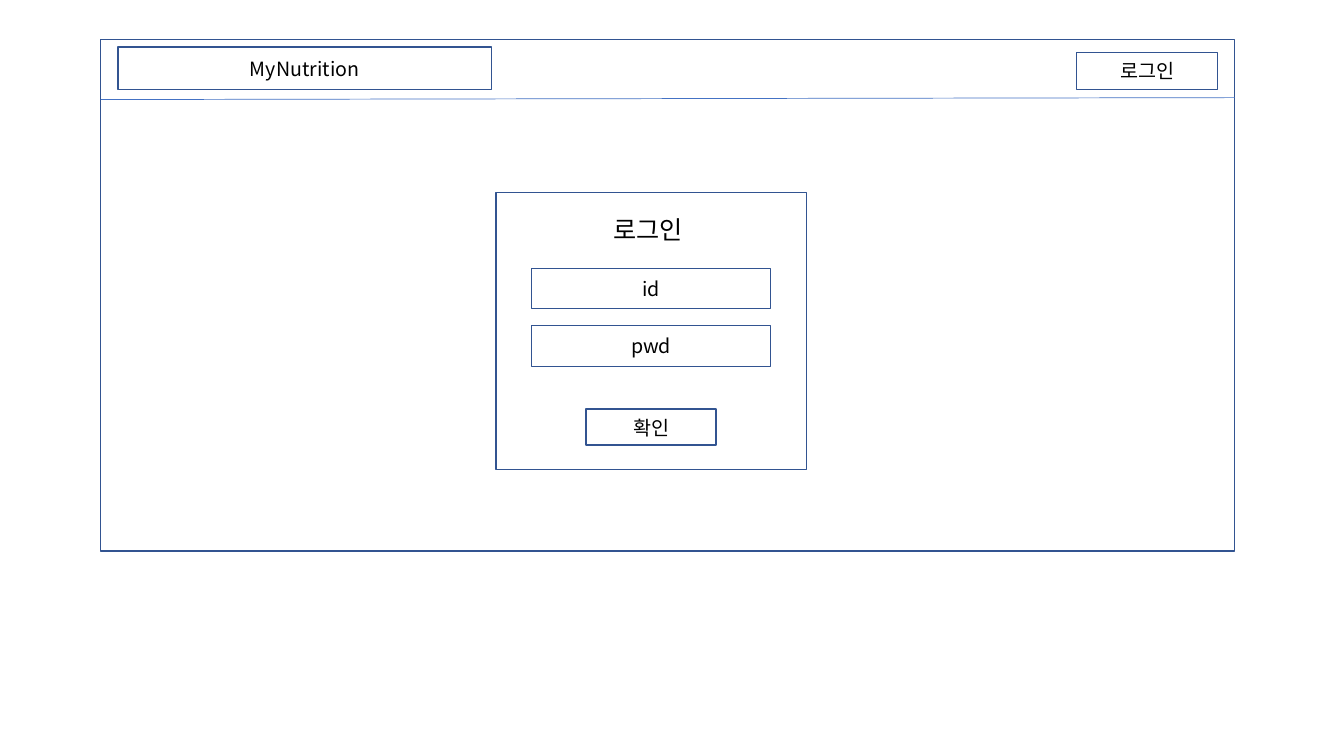
import pptx
import pptx.dml.color
import pptx.enum.shapes
import pptx.enum.text
import pptx.oxml.ns
import pptx.util
from lxml import etree
from pptx.util import Cm

# Content
SITE_NAME = "MyNutrition"
LOGIN = "로그인"
FIELDS = ["id", "pwd"]
CONFIRM = "확인"

FONT = "Noto Sans CJK KR"
INK, BORDER, RULE = "000000", "325491", "4472C4"

# Layout in cm: left, top, width, height
PAGE = (2.54, 0.99, 28.58, 12.9)
SITE_BOX = (2.97, 1.19, 9.42, 1.07)
LOGIN_BUTTON = (27.13, 1.32, 3.56, 0.94)
CARD = (12.5, 4.85, 7.82, 6.99)
CARD_TITLE = (15.21, 5.28, 3.3, 1.03)
FIELD_TOP, FIELD_PITCH, FIELD_SIZE = 6.76, 1.45, (6.02, 1.02)
CONFIRM_TOP, CONFIRM_SIZE = 10.31, (3.28, 0.91)
RULE_START_Y, RULE_END_Y = 2.51, 2.46


def color(hex_code):
    return pptx.dml.color.RGBColor.from_string(hex_code)


def write(shape, text, size=14, align=pptx.enum.text.PP_ALIGN.CENTER,
          anchor=pptx.enum.text.MSO_ANCHOR.MIDDLE):
    frame = shape.text_frame
    frame.word_wrap = True
    frame.vertical_anchor = anchor
    paragraph = frame.paragraphs[0]
    paragraph.alignment = align
    run = paragraph.add_run()
    run.text = text
    run.font.size = pptx.util.Pt(size)
    run.font.name = FONT
    run.font.color.rgb = color(INK)
    east_asian = etree.SubElement(run.font._element, pptx.oxml.ns.qn("a:ea"))
    east_asian.set("typeface", FONT)


def add_box(slide, place, text=None):
    box = slide.shapes.add_shape(
        pptx.enum.shapes.MSO_SHAPE.RECTANGLE, *map(Cm, place))
    box.shadow.inherit = False
    box.fill.background()
    box.line.color.rgb = color(BORDER)
    box.line.width = pptx.util.Pt(1)
    if text:
        write(box, text)


def centered_in_card(top, size):
    width, height = size
    return CARD[0] + (CARD[2] - width) / 2, top, width, height


def main():
    deck = pptx.Presentation()
    deck.slide_width, deck.slide_height = Cm(33.87), Cm(19.05)
    slide = deck.slides.add_slide(deck.slide_layouts[6])

    # Page frame and header
    add_box(slide, PAGE)
    add_box(slide, SITE_BOX, SITE_NAME)
    add_box(slide, LOGIN_BUTTON, LOGIN)
    header_rule = slide.shapes.add_connector(
        pptx.enum.shapes.MSO_CONNECTOR.STRAIGHT,
        Cm(PAGE[0]), Cm(RULE_START_Y), Cm(PAGE[0] + PAGE[2]), Cm(RULE_END_Y))
    header_rule.line.color.rgb = color(RULE)
    header_rule.line.width = pptx.util.Pt(0.5)
    etree.SubElement(header_rule._element.spPr, pptx.oxml.ns.qn("a:effectLst"))

    # Login card
    add_box(slide, CARD)
    card_title = slide.shapes.add_textbox(*map(Cm, CARD_TITLE))
    write(card_title, LOGIN, size=18, align=pptx.enum.text.PP_ALIGN.LEFT,
          anchor=pptx.enum.text.MSO_ANCHOR.TOP)
    for row, label in enumerate(FIELDS):
        top = FIELD_TOP + row * FIELD_PITCH
        add_box(slide, centered_in_card(top, FIELD_SIZE), label)
    add_box(slide, centered_in_card(CONFIRM_TOP, CONFIRM_SIZE), CONFIRM)

    deck.save("out.pptx")


if __name__ == "__main__":
    main()
